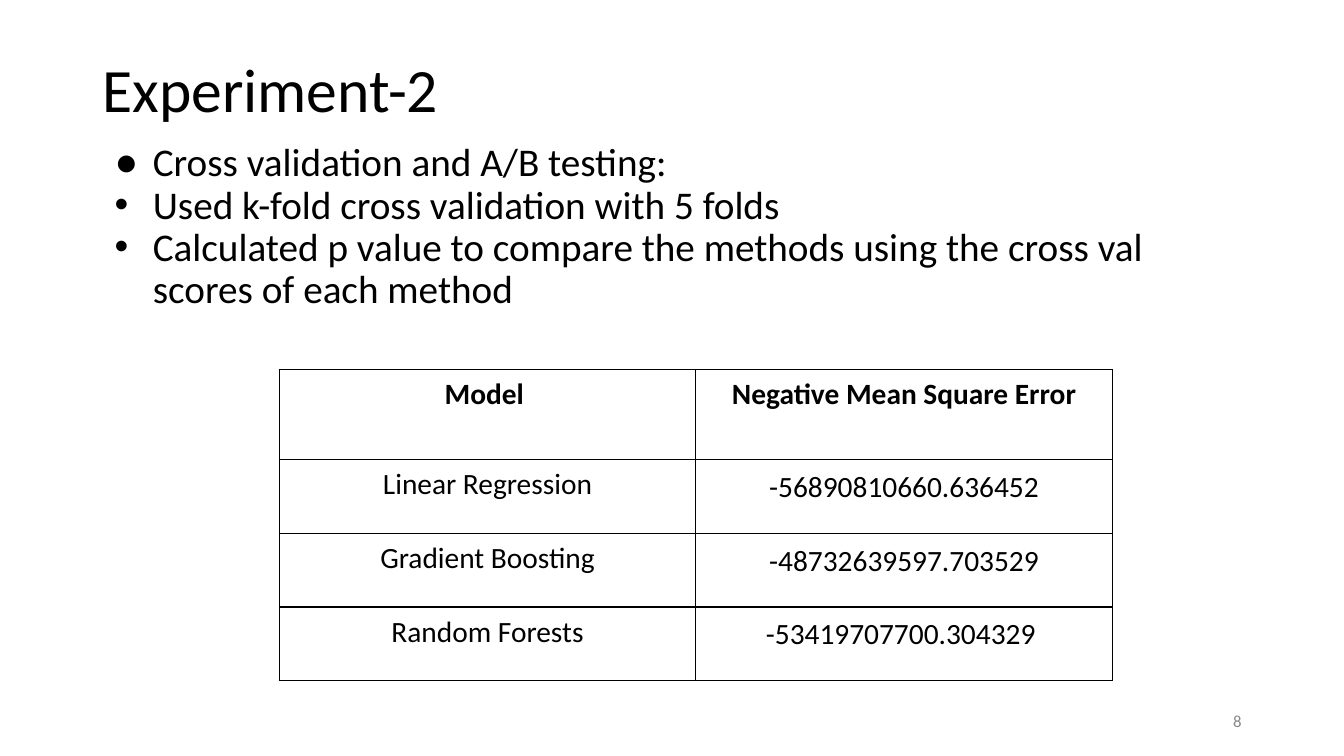
from lxml import etree
from pptx import Presentation
from pptx import util as u
from pptx.dml.color import RGBColor
from pptx.enum import text
from pptx.oxml import ns

COLORS = {"ink": "000000", "muted": "888888", "paper": "FFFFFF"}
BULLETS = [
    ("●", "Cross validation and A/B testing:"),
    ("•", "Used k-fold cross validation with 5 folds"),
    ("•", "Calculated p value to compare the methods using the cross val scores of each method"),
]
RESULTS = [
    ("Model ", "Negative Mean Square Error"),
    ("Linear Regression", "-56890810660.636452"),
    ("Gradient Boosting", " -48732639597.703529 "),
    ("Random Forests", "-53419707700.304329 "),
]


class SlideBuilder:
    font = "Calibri"

    def __init__(self, slide):
        self.slide = slide

    def place(self, sp, left, top, width, height):
        sp.left, sp.top = u.Pt(left), u.Pt(top)
        sp.width, sp.height = u.Pt(width), u.Pt(height)

    def style(self, p, size, align, color="ink", bold=False, spacing=1.0, before=0, after=0):
        p.alignment = align
        p.line_spacing = spacing
        p.space_before, p.space_after = u.Pt(before), u.Pt(after)
        for r in p.runs:
            r.font.name = self.font
            r.font.size = u.Pt(size)
            r.font.bold = bold
            r.font.color.rgb = RGBColor.from_string(COLORS[color])

    def bullet(self, p, char):
        pPr = p._p.get_or_add_pPr()
        pPr.set("marL", str(u.Pt(36)))
        pPr.set("indent", str(u.Pt(-27.36)))
        buClr = etree.SubElement(pPr, ns.qn("a:buClr"))
        etree.SubElement(buClr, ns.qn("a:srgbClr"), val=COLORS["ink"])
        etree.SubElement(pPr, ns.qn("a:buFont"), typeface="Arial")
        etree.SubElement(pPr, ns.qn("a:buChar"), char=char)

    def title(self, words, box):
        sp = self.slide.shapes.title
        self.place(sp, *box)
        tf = sp.text_frame
        tf.text = words
        tf.auto_size = text.MSO_AUTO_SIZE.NONE
        tf.vertical_anchor = text.MSO_ANCHOR.MIDDLE
        self.style(tf.paragraphs[0], 44, text.PP_ALIGN.LEFT, spacing=0.9)

    def body(self, items, box):
        sp = self.slide.placeholders[1]
        self.place(sp, *box)
        tf = sp.text_frame
        tf.text = "\n".join(words for _, words in items)
        tf.auto_size = text.MSO_AUTO_SIZE.NONE
        tf.vertical_anchor = text.MSO_ANCHOR.TOP
        for i, (p, (char, _)) in enumerate(zip(tf.paragraphs, items)):
            self.style(p, 28, text.PP_ALIGN.LEFT, spacing=0.9, before=0 if i else 10)
            self.bullet(p, char)

    def borders(self, cell):
        tcPr = cell._tc.get_or_add_tcPr()
        for i, side in enumerate(("lnL", "lnR", "lnT", "lnB")):
            ln = etree.Element(ns.qn("a:" + side), w=str(u.Pt(1)))
            fill = etree.SubElement(ln, ns.qn("a:solidFill"))
            etree.SubElement(fill, ns.qn("a:srgbClr"), val=COLORS["ink"])
            tcPr.insert(i, ln)

    def table(self, rows, left, top, widths, heights):
        box = [u.Pt(v) for v in (left, top, sum(widths), sum(heights))]
        table = self.slide.shapes.add_table(len(rows), len(widths), *box).table
        for column, width in zip(table.columns, widths):
            column.width = u.Pt(width)
        for i, (row, height) in enumerate(zip(rows, heights)):
            table.rows[i].height = u.Pt(height)
            for j, words in enumerate(row):
                cell = table.cell(i, j)
                cell.text_frame.text = words
                cell.fill.solid()
                cell.fill.fore_color.rgb = RGBColor.from_string(COLORS["paper"])
                cell.margin_left = cell.margin_right = u.Pt(5)
                cell.margin_top = cell.margin_bottom = u.Pt(5)
                score = i > 0 and j > 0
                self.style(cell.text_frame.paragraphs[0], 21, text.PP_ALIGN.CENTER,
                           bold=i == 0, spacing=1.08 if score else 1.0,
                           after=8 if score else 0)
                self.borders(cell)

    def page_number(self, number, box):
        sp = self.slide.shapes.add_textbox(*[u.Pt(v) for v in box])
        tf = sp.text_frame
        tf.text = number
        tf.word_wrap = True
        tf.vertical_anchor = text.MSO_ANCHOR.MIDDLE
        self.style(tf.paragraphs[0], 12, text.PP_ALIGN.RIGHT, color="muted")


def main():
    prs = Presentation()
    prs.slide_width, prs.slide_height = u.Pt(960), u.Pt(540)
    builder = SlideBuilder(prs.slides.add_slide(prs.slide_layouts[1]))
    builder.title("Experiment-2", (66, 28.75, 828, 75))
    builder.body(BULLETS, (66, 98.5, 828, 393))
    builder.table(RESULTS, 199.5, 264, [297.5] * 2, [64.2] + [52.75] * 3)
    builder.page_number("8", (678, 500.5, 216, 28.75))
    prs.save("out.pptx")


if __name__ == "__main__":
    main()
